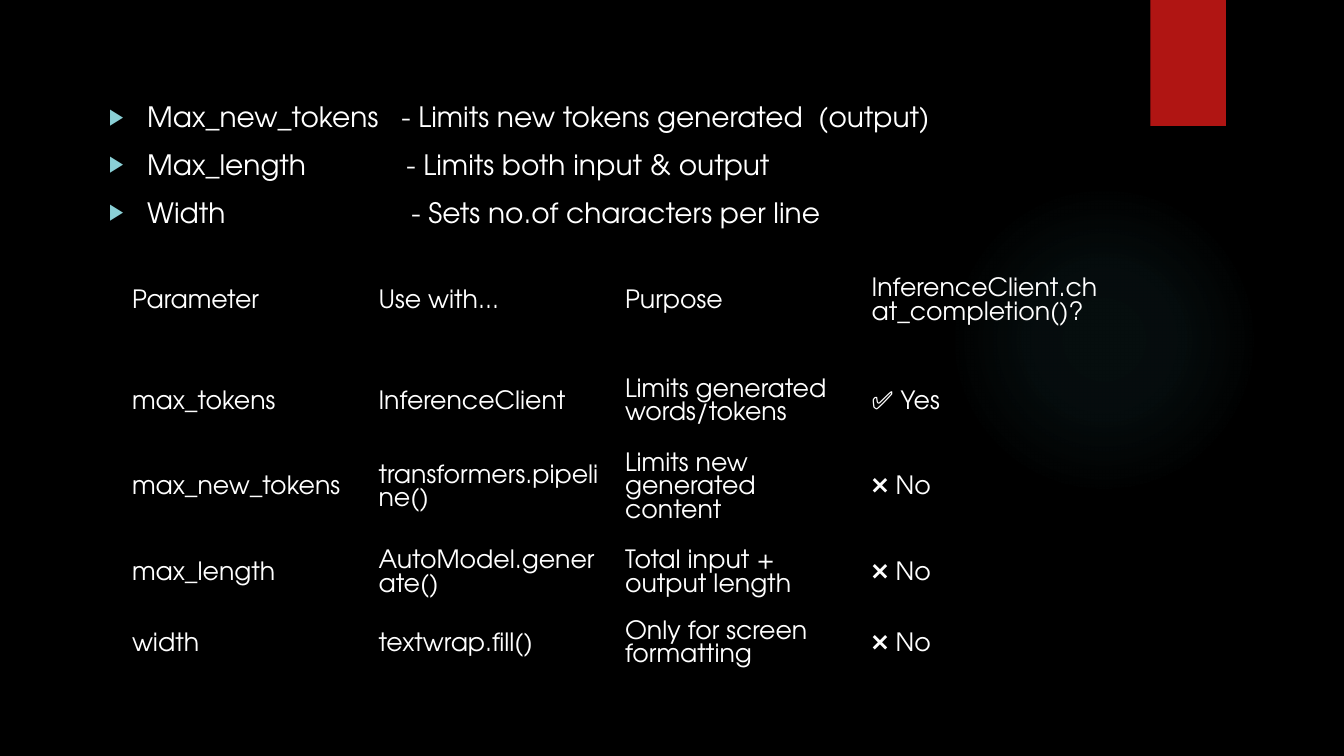
from lxml import etree
from pptx import Presentation
from pptx.dml.color import RGBColor
from pptx.enum import shapes, text
from pptx.oxml import ns, parse_xml
from pptx.util import Inches, Pt

FONT = "TeX Gyre Adventor"
HUES = {"back": "000000", "text": "FFFFFF", "tab": "B01513",
        "glow": "50B9C1", "mark": "8AD0D6"}
NO_GRID = "{2D5ABB26-0587-4C30-8999-92F81FD0307C}"

TERMS = [
    ("Max_new_tokens", "- Limits new tokens generated  (output)"),
    ("Max_length", "- Limits both input & output"),
    ("Width", "- Sets no.of characters per line"),
]
STOPS = [2.9, 2.95, 3]
GRID = [
    ("Parameter", "Use with...", "Purpose", "InferenceClient.chat_completion()?"),
    ("max_tokens", "InferenceClient", "Limits generated words/tokens", "✅ Yes"),
    ("max_new_tokens", "transformers.pipeline()", "Limits new generated content", "❌ No"),
    ("max_length", "AutoModel.generate()", "Total input + output length", "❌ No"),
    ("width", "textwrap.fill()", "Only for screen formatting", "❌ No"),
]
ROWS = [1.3, 0.7, 1, 0.7, 0.7]
GLOW = [(0, 7), (36, 6), (69, 0)]  # percent along, percent opaque


def rgb(name):
    return RGBColor.from_string(HUES[name])


def style(para, size):
    para.font.name = FONT
    para.font.size = Pt(size)
    para.font.color.rgb = rgb("text")


def plain(kind, *box):
    """Add a preset shape without line or shadow."""
    shape = slide.shapes.add_shape(kind, *map(Inches, box))
    shape.shadow.inherit = False
    shape.line.fill.background()
    return shape


def add_glow():
    disc = plain(shapes.MSO_SHAPE.OVAL, 9.41, 1.83, 3.08, 3.08)
    stops = "".join(
        f'<a:gs pos="{pos * 1000}"><a:srgbClr val="{HUES["glow"]}">'
        f'<a:alpha val="{alpha * 1000}"/></a:srgbClr></a:gs>'
        for pos, alpha in GLOW)
    fade = parse_xml(
        f'<a:gradFill {ns.nsdecls("a")}><a:gsLst>{stops}</a:gsLst>'
        '<a:path path="circle"><a:fillToRect l="50000" t="50000" r="50000" b="50000"/>'
        '</a:path></a:gradFill>')
    disc._element.spPr.find(ns.qn("a:prstGeom")).addnext(fade)


def add_mark(para, stop):
    """Give a paragraph its triangle bullet, hanging indent and tab stop."""
    props = para._p.get_or_add_pPr()
    props.set("marL", str(Inches(0.38)))
    props.set("indent", str(-Inches(0.38)))
    color = etree.SubElement(props, ns.qn("a:buClr"))
    etree.SubElement(color, ns.qn("a:srgbClr"), val=HUES["mark"])
    etree.SubElement(props, ns.qn("a:buSzPct"), val="80000")
    etree.SubElement(props, ns.qn("a:buChar"), char="▶")
    tabs = etree.SubElement(props, ns.qn("a:tabLst"))
    etree.SubElement(tabs, ns.qn("a:tab"), pos=str(Inches(stop)), algn="l")


def add_terms():
    body = slide.placeholders[1]
    body.left, body.top, body.width, body.height = map(Inches, (0.98, 0.47, 10.72, 5.58))
    frame = body.text_frame
    frame.word_wrap = True
    frame.auto_size = text.MSO_AUTO_SIZE.NONE
    frame.vertical_anchor = text.MSO_ANCHOR.TOP
    frame.margin_top = Inches(0.52)
    for i, ((term, use), stop) in enumerate(zip(TERMS, STOPS)):
        para = frame.add_paragraph() if i else frame.paragraphs[0]
        para.text = f"{term}\t{use}"
        para.space_before = Pt(10 if i else 0)
        style(para, 20)
        add_mark(para, stop)


def add_grid():
    frame = slide.shapes.add_table(
        len(GRID), len(GRID[0]), Inches(1.21), Inches(2.34), Inches(9.78), Inches(sum(ROWS)))
    table = frame.table
    table.first_row = table.horz_banding = False
    table._tbl.tblPr.find(ns.qn("a:tableStyleId")).text = NO_GRID
    for row, high, words in zip(table.rows, ROWS, GRID):
        row.height = Inches(high)
        for cell, word in zip(row.cells, words):
            cell.text = word
            cell.fill.background()
            cell.vertical_anchor = text.MSO_ANCHOR.MIDDLE
            style(cell.text_frame.paragraphs[0], 18)


deck = Presentation()
deck.slide_width, deck.slide_height = Inches(13.33), Inches(7.5)
slide = deck.slides.add_slide(deck.slide_layouts[1])
slide.background.fill.solid()
slide.background.fill.fore_color.rgb = rgb("back")
title = slide.shapes.title._element
title.getparent().remove(title)

add_glow()
flag = plain(shapes.MSO_SHAPE.RECTANGLE, 11.41, 0, 0.75, 1.25)
flag.fill.solid()
flag.fill.fore_color.rgb = rgb("tab")
add_terms()
add_grid()
deck.save("out.pptx")
